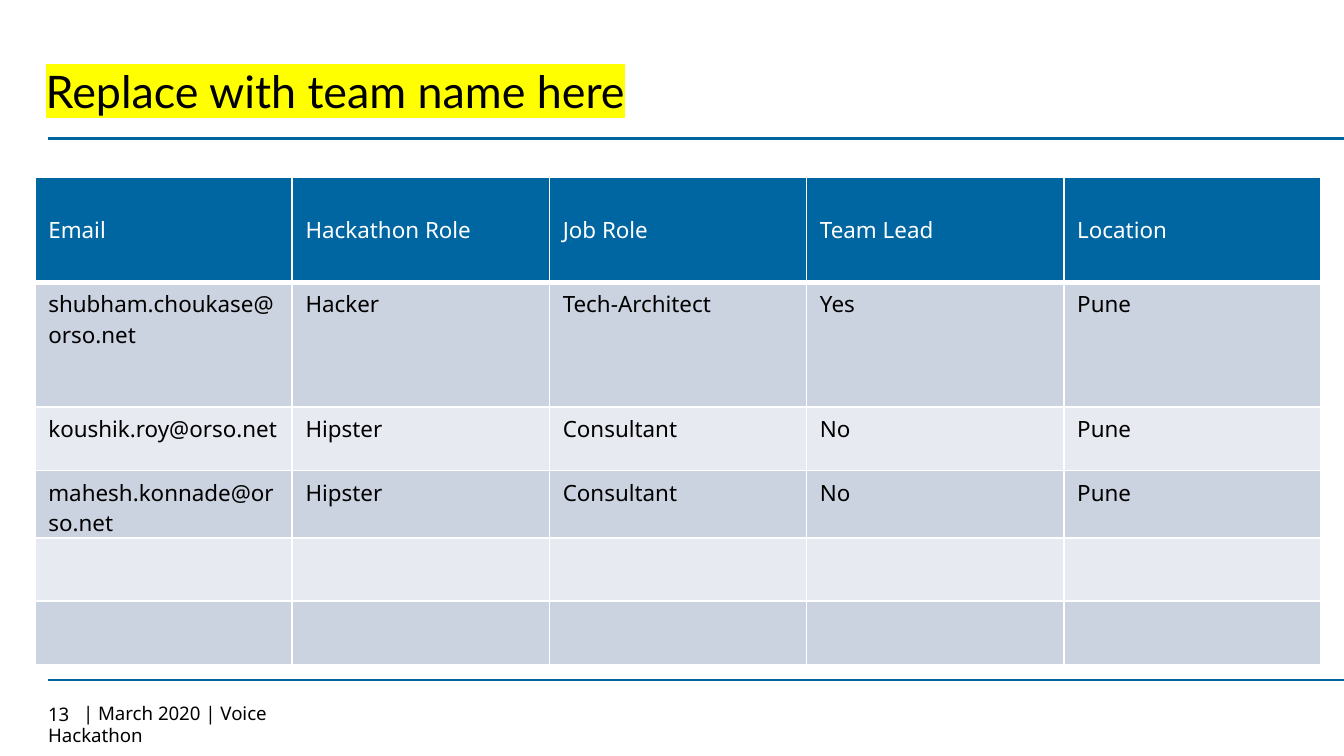
from dataclasses import dataclass

from lxml import etree
from pptx import Presentation
from pptx.dml.color import RGBColor
from pptx.enum.shapes import MSO_CONNECTOR
from pptx.enum.text import MSO_ANCHOR, PP_ALIGN
from pptx.oxml.ns import qn
from pptx.util import Inches, Pt

LEFT = PP_ALIGN.LEFT
MIDDLE, TOP = MSO_ANCHOR.MIDDLE, MSO_ANCHOR.TOP
STRAIGHT = MSO_CONNECTOR.STRAIGHT
TITLE_ONLY = 5


@dataclass(frozen=True)
class Theme:
    """Colours, fonts and type sizes of the slide."""
    text: str = "000000"
    white: str = "FFFFFF"
    rule: str = "00649D"
    header: str = "0066A1"
    bands: tuple = ("CCD3E0", "E7EAF0")
    highlight: str = "FFFF00"
    title_font: str = "Lato"
    body_font: str = "Noto Sans"
    title_size: int = 24
    cell_size: int = 12
    footer_size: int = 10


def write_text(frame, text, *, size, font, color, anchor=TOP, indent=0, highlight=None):
    """Write one formatted paragraph into a text frame."""
    frame.vertical_anchor = anchor
    frame.word_wrap = True
    paragraph = frame.paragraphs[0]
    paragraph.alignment = LEFT
    if indent:
        paragraph._p.get_or_add_pPr().set("indent", str(Inches(indent)))
    run = paragraph.add_run()
    run.text = text
    run.font.size = Pt(size)
    run.font.bold = False
    run.font.color.rgb = RGBColor.from_string(color)
    if highlight:
        mark = etree.Element(qn("a:highlight"))
        etree.SubElement(mark, qn("a:srgbClr"), val=highlight)
        run._r.rPr.find(qn("a:solidFill")).addnext(mark)
    run.font.name = font


class SlideBuilder:
    """Hold the theme and the current slide, and add elements to it."""

    def __init__(self, slide, theme):
        """Keep the slide and its theme."""
        self.slide = slide
        self.theme = theme

    def title(self, text, left, top, width, height):
        """Place and fill the title placeholder."""
        title = self.slide.shapes.title
        title.left, title.top = Inches(left), Inches(top)
        title.width, title.height = Inches(width), Inches(height)
        write_text(title.text_frame, text, size=self.theme.title_size,
                   font=self.theme.title_font, color=self.theme.text,
                   anchor=MIDDLE, highlight=self.theme.highlight)

    def footer(self, text, left, top, width, height, **text_format):
        """Add a small footer text."""
        box = self.slide.shapes.add_textbox(
            Inches(left), Inches(top), Inches(width), Inches(height))
        write_text(box.text_frame, text, size=self.theme.footer_size,
                   font=self.theme.body_font, color=self.theme.text, **text_format)

    def rule(self, left, right, top):
        """Add a horizontal rule."""
        line = self.slide.shapes.add_connector(
            STRAIGHT, Inches(left), Inches(top), Inches(right), Inches(top))
        line.line.color.rgb = RGBColor.from_string(self.theme.rule)
        line.line.width = Pt(1.25)
        etree.SubElement(line._element.spPr, qn("a:effectLst"))

    def borders(self, cell, **widths):
        """Draw the white borders of a cell, keyed by side."""
        properties = cell._tc.get_or_add_tcPr()
        for side, width in widths.items():
            border = etree.SubElement(properties, qn(f"a:ln{side}"), w=str(Pt(width)))
            fill = etree.SubElement(border, qn("a:solidFill"))
            etree.SubElement(fill, qn("a:srgbClr"), val=self.theme.white)

    def table(self, rows, heights, left, top, width):
        """Add a banded table with a header row."""
        theme = self.theme
        columns = len(rows[0])
        table = self.slide.shapes.add_table(
            len(rows), columns, Inches(left), Inches(top),
            Inches(width), Inches(sum(heights))).table
        for row, height in zip(table.rows, heights):
            row.height = Inches(height)
        for row_index, values in enumerate(rows):
            is_header = row_index == 0
            for column_index, value in enumerate(values):
                cell = table.cell(row_index, column_index)
                self.borders(cell, L=1, R=1, T=3 if row_index == 1 else 1,
                             B=3 if is_header else 1)
                cell.fill.solid()
                cell.fill.fore_color.rgb = RGBColor.from_string(
                    theme.header if is_header else theme.bands[(row_index - 1) % 2])
                cell.vertical_anchor = MIDDLE if is_header else TOP
                if not is_header:
                    cell.margin_bottom = 0
                if value:
                    write_text(cell.text_frame, value, size=theme.cell_size,
                               font=theme.body_font,
                               color=theme.white if is_header else theme.text,
                               anchor=cell.vertical_anchor)


def main():
    """Build and save the team slide."""
    presentation = Presentation()
    presentation.slide_width = Inches(10)
    presentation.slide_height = Inches(10) * 9 // 16
    slide = presentation.slides.add_slide(presentation.slide_layouts[TITLE_ONLY])
    builder = SlideBuilder(slide, Theme())

    for rule_top in (5.06, 1.03):
        builder.rule(0.36, 10, rule_top)
    team = [
        ("Email", "Hackathon Role", "Job Role", "Team Lead", "Location"),
        ("shubham.choukase@orso.net", "Hacker", "Tech-Architect", "Yes", "Pune"),
        ("koushik.roy@orso.net", "Hipster", "Consultant", "No", "Pune"),
        ("mahesh.konnade@orso.net", "Hipster", "Consultant", "No", "Pune"),
        ("",) * 5,
        ("",) * 5,
    ]
    builder.table(team, [0.78, 0.93] + [0.47] * 4, 0.26, 1.32, 9.57)
    builder.title("Replace with team name here", 0.24, 0.28, 9.57, 0.79)
    builder.footer("13", 0.26, 5.19, 0.49, 0.24, anchor=MIDDLE)
    builder.footer("| March 2020 | Voice Hackathon", 0.26, 5.17, 2.35, 0.27, indent=0.26)
    presentation.save("out.pptx")


main()
